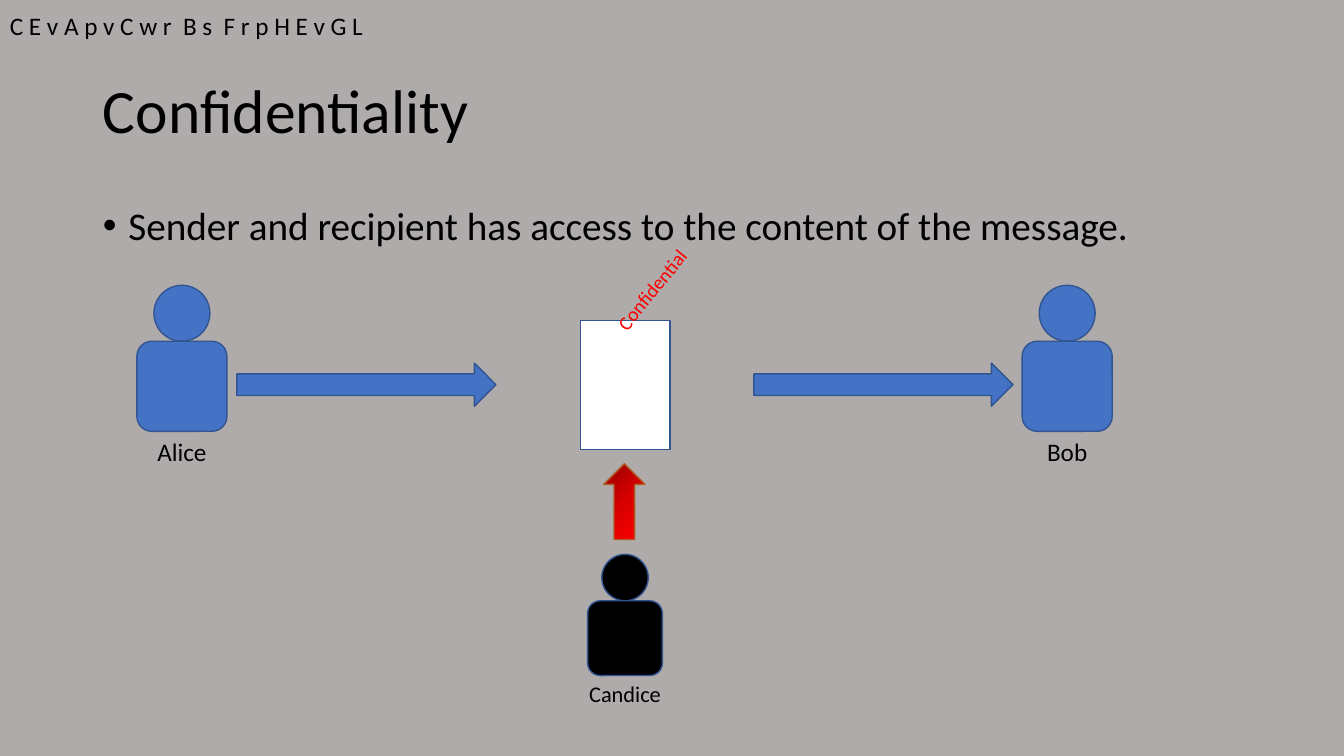
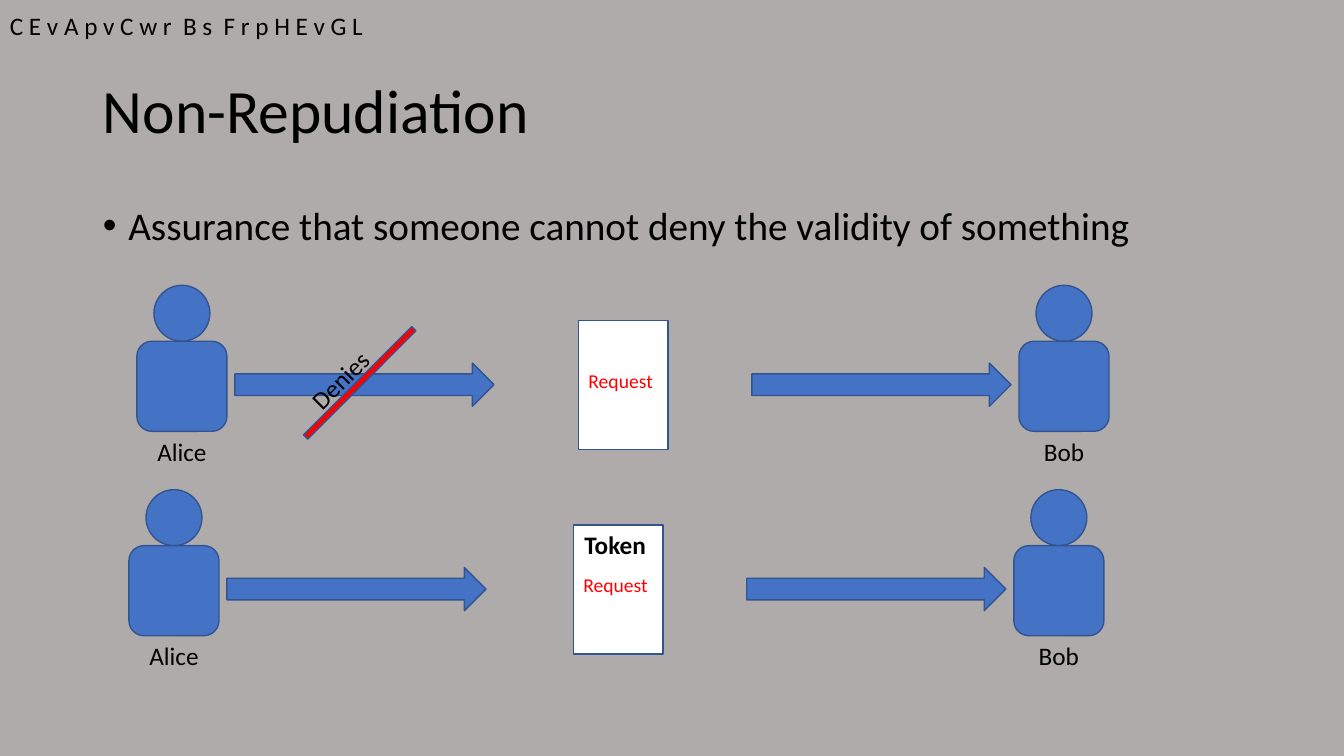
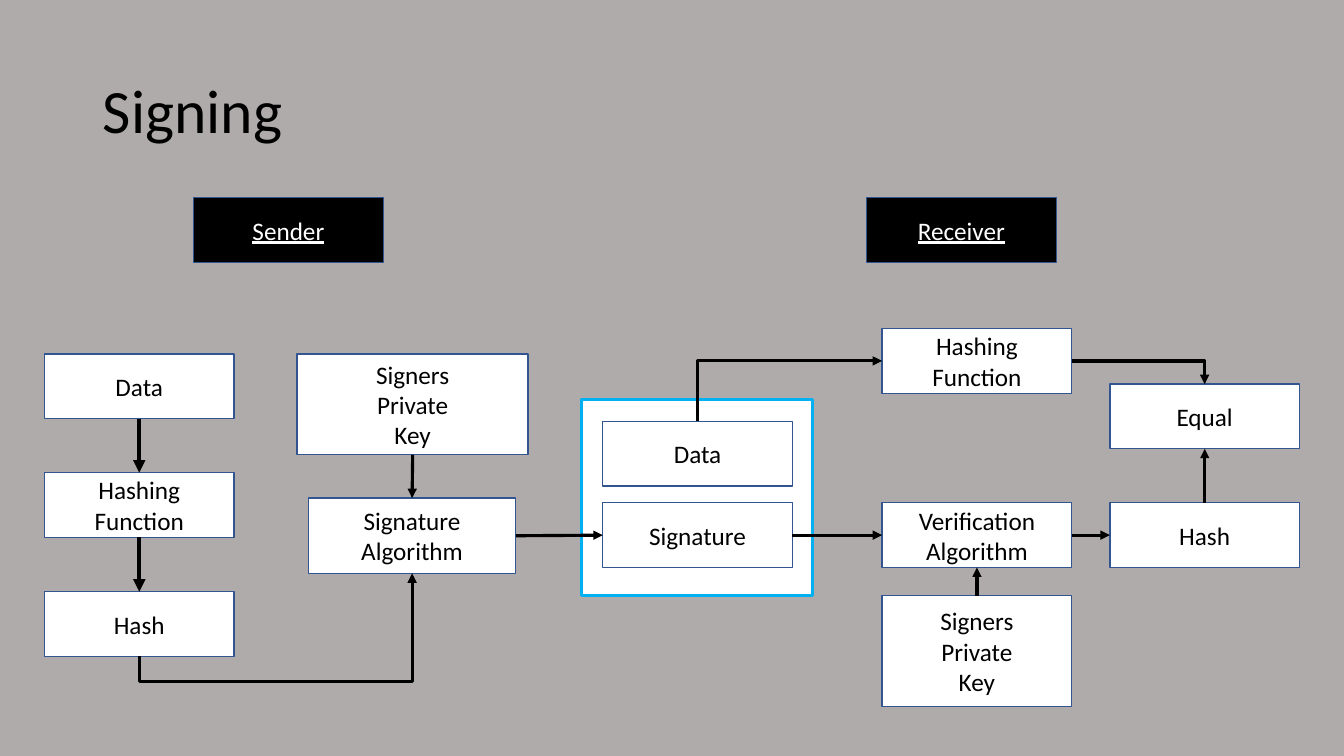
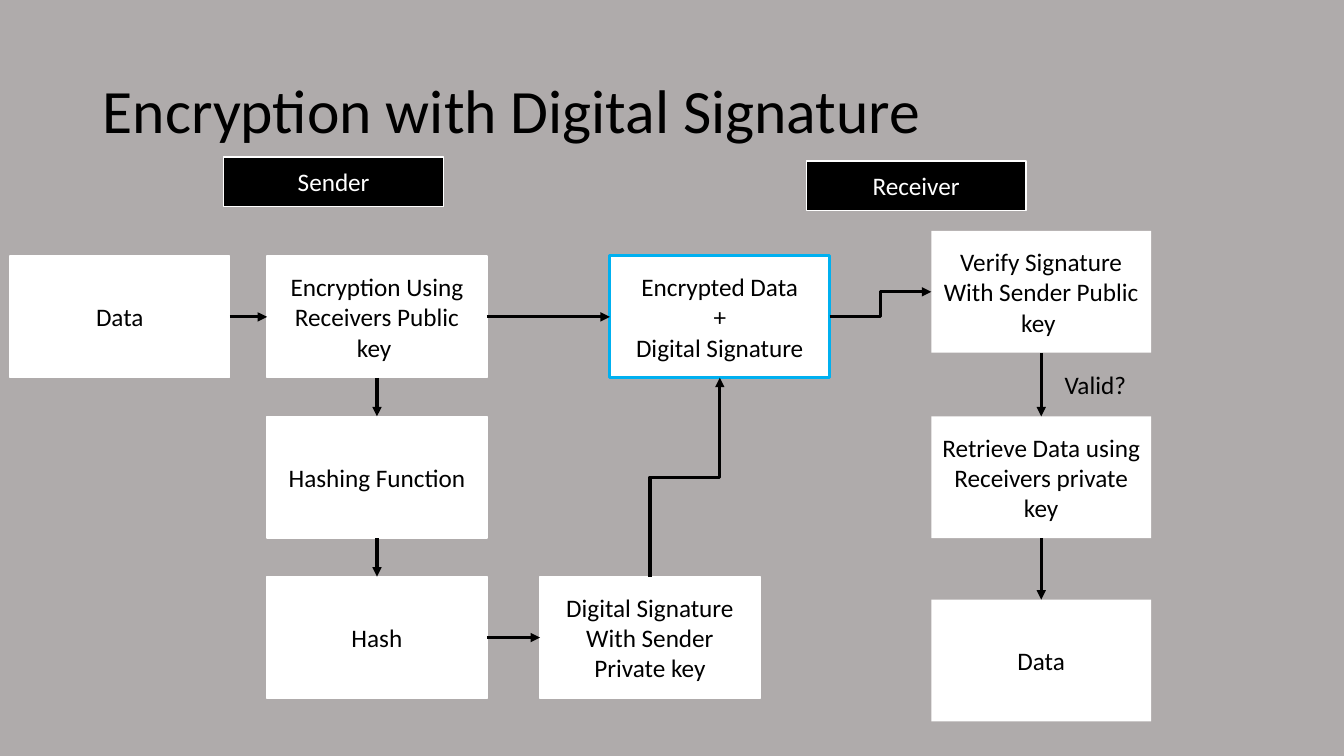
from copy import deepcopy

from lxml.etree import SubElement
from pptx import Presentation
from pptx.dml.color import RGBColor
from pptx.enum.shapes import MSO_CONNECTOR, MSO_SHAPE
from pptx.enum.text import MSO_ANCHOR, PP_ALIGN
from pptx.oxml.ns import qn
from pptx.util import Cm, Pt

# Shared look
FONT = "Calibri"
COLORS = {
    "background": "AFABAB", "black": "000000", "white": "FFFFFF",
    "blue": "4472C4", "outline": "325491", "cyan": "00B0F0",
    "red": "FF0000", "rust": "AF5C24", "dark red": "970000", "mid red": "D70000",
}
TITLE_AREA = (2.34, 1.02, 29.21, 3.68)
BODY_AREA = (2.34, 5.08, 29.21, 12.09)
HEADER_AREA = (0, 0.13, 10.19, 1.8)
HEADER = "C E v A p v C w r  B s  F r p H E v G L"

# Box styles: fill, line, line width, text colour, underline
BOX_STYLES = {
    "step": ("white", "outline", 1, "black", False),
    "parcel": ("white", "cyan", 2.25, "black", False),
    "party": ("black", "outline", 1, "white", True),
    "block": ("white", "white", 1, "black", False),
    "plain": ("white", None, 0, "black", False),
    "tag": ("black", "white", 1, "white", False),
}

# Messages between Alice and Bob: top, then the left edge of each part (cm)
CONFIDENTIAL = {"top": 7.19, "alice": 3.45, "arrows": (5.97, 19), "document": 14.63, "bob": 25.76}
DENIED = {"top": 7.19, "alice": 3.45, "arrows": (5.92, 18.95), "document": 14.58, "bob": 25.68}
PROVEN = {"top": 12.34, "alice": 3.25, "arrows": (5.72, 18.82), "document": 14.45, "bob": 25.55}
HEAD, BODY = 1.41, 2.27
LABEL = (2.4, 1.02)
ARROW = (6.53, 1.09)
DOCUMENT = (2.26, 3.25)

# Signing: key -> text, style, left, top, width, height (cm)
STEP = (4.78, 1.63)
SENDER_X, PARCEL_X, VERIFY_X, RESULT_X = 1.12, 15.19, 22.23, 27.97
SIGN_Y = 12.67
SIGNING_BOXES = {
    "data": ("Data", "step", SENDER_X, 8.92, *STEP),
    "hashing": ("Hashing Function", "step", SENDER_X, 11.91, *STEP),
    "hash": ("Hash", "step", SENDER_X, 14.91, *STEP),
    "algorithm": ("Signature\nAlgorithm", "step", 7.77, 12.55, 5.23, 1.9),
    "key": ("Signers\nPrivate\nKey", "step", 7.49, 8.92, 5.82, 2.54),
    "parcel": ("", "parcel", 14.66, 10.06, 5.82, 4.95),
    "sent data": ("Data", "step", PARCEL_X, 10.62, *STEP),
    "signature": ("Signature", "step", PARCEL_X, SIGN_Y, *STEP),
    "rehashing": ("Hashing Function", "step", VERIFY_X, 8.28, *STEP),
    "verification": ("Verification Algorithm", "step", VERIFY_X, SIGN_Y, *STEP),
    "verify key": ("Signers\nPrivate\nKey", "step", VERIFY_X, 15.01, 4.78, 2.79),
    "equal": ("Equal", "step", RESULT_X, 9.68, *STEP),
    "result hash": ("Hash", "step", RESULT_X, SIGN_Y, *STEP),
    "sender": ("Sender", "party", 4.88, 4.98, *STEP),
    "receiver": ("Receiver", "party", 21.84, 4.98, *STEP),
}
# Links: from, side, to, side, line width, bend preset, bend position
SIGNING_LINKS = [
    ("data", "bottom", "hashing", "top", 3),
    ("hashing", "bottom", "hash", "top", 3),
    ("hash", "bottom", "algorithm", "bottom", 2.25, "bentConnector3", -0.3),
    ("key", "bottom", "algorithm", "top"),
    ("algorithm", "right", "signature", "left"),
    ("sent data", "top", "rehashing", "left", 2.25, "bentConnector2"),
    ("rehashing", "right", "equal", "top", 2.25, "bentConnector2"),
    ("result hash", "top", "equal", "bottom"),
    ("verify key", "top", "verification", "bottom"),
    ("verification", "right", "result hash", "left"),
    ("signature", "right", "verification", "left"),
]

# Encryption with a digital signature
BLOCK = (5.54, 3.07)
TAG = (5.54, 1.24)
ENCRYPT_X, RETRIEVE_X = 6.73, 23.47
ROWS = (6.45, 10.49, 14.53)
ENCRYPTION_BOXES = {
    "encryption": ("Encryption Using\nReceivers Public key ", "block", ENCRYPT_X, ROWS[0], *BLOCK),
    "hashing": ("Hashing Function", "block", ENCRYPT_X, ROWS[1], *BLOCK),
    "hash": ("Hash", "block", ENCRYPT_X, ROWS[2], *BLOCK),
    "data": ("Data", "block", 0.25, ROWS[0], *BLOCK),
    "signature": ("Digital Signature\nWith Sender Private key", "block", 13.61, ROWS[2], *BLOCK),
    "parcel": ("Encrypted Data\n+\nDigital Signature", "parcel", 15.37, ROWS[0], *BLOCK),
    "verify": ("Verify Signature\nWith Sender Public \nkey ", "plain", RETRIEVE_X, 5.82, *BLOCK),
    "retrieve": ("Retrieve Data using \nReceivers private key", "plain", RETRIEVE_X, ROWS[1], *BLOCK),
    "received": ("Data", "plain", RETRIEVE_X, 15.11, *BLOCK),
    "sender": ("Sender", "tag", 5.64, 3.96, *TAG),
    "receiver": ("Receiver", "tag", 20.32, 4.06, *TAG),
}
ENCRYPTION_LINKS = [
    ("data", "right", "encryption", "left"),
    ("encryption", "bottom", "hashing", "top"),
    ("hashing", "bottom", "hash", "top"),
    ("hash", "right", "signature", "left"),
    ("encryption", "right", "parcel", "left"),
    ("parcel", "right", "verify", "left", 2.25, "bentConnector3", 0.5),
    ("verify", "bottom", "retrieve", "top"),
    ("retrieve", "bottom", "received", "top"),
    ("signature", "top", "parcel", "bottom", 2.25, "bentConnector3", 0.5),
]

# Connection sites of a rectangle: index, share of width, share of height
SITES = {"top": (0, 0.5, 0), "left": (1, 0, 0.5), "bottom": (2, 0.5, 1), "right": (3, 1, 0.5)}


def rgb(name):
    return RGBColor.from_string(COLORS[name])


def lengths(area):
    return [Cm(value) for value in area]


def write(frame, text, size=18, color="black", align=PP_ALIGN.CENTER, bold=False, underline=False):
    for number, line in enumerate(text.split("\n")):
        paragraph = frame.paragraphs[0] if number == 0 else frame.add_paragraph()
        paragraph.alignment = align
        run = paragraph.add_run()
        run.text = line
        font = run.font
        font.name, font.size, font.color.rgb = FONT, Pt(size), rgb(color)
        if bold:
            font.bold = True
        if underline:
            font.underline = True


def add_label(shapes, text, area, rotation=0, **look):
    label = shapes.add_textbox(*lengths(area))
    label.text_frame.word_wrap = True
    label.rotation = rotation
    write(label.text_frame, text, **look)


def add_figure(shapes, kind, area, fill="blue", line="outline", weight=1, rotation=0):
    figure = shapes.add_shape(kind, *lengths(area))
    figure.shadow.inherit = False
    figure.rotation = rotation
    figure.fill.solid()
    figure.fill.fore_color.rgb = rgb(fill)
    if line:
        figure.line.color.rgb = rgb(line)
        figure.line.width = Pt(weight)
    else:
        figure.line.fill.background()
    return figure


def add_titled_slide(deck, title, bullet=None):
    slide = deck.slides.add_slide(deck.slide_layouts[1 if bullet else 5])
    heading = slide.shapes.title
    heading.left, heading.top, heading.width, heading.height = lengths(TITLE_AREA)
    heading.text_frame.vertical_anchor = MSO_ANCHOR.MIDDLE
    write(heading.text_frame, title, 44, align=PP_ALIGN.LEFT)
    heading.text_frame.paragraphs[0].line_spacing = 0.9
    if bullet:
        body = slide.placeholders[1]
        body.left, body.top, body.width, body.height = lengths(BODY_AREA)
        write(body.text_frame, bullet, 28, align=PP_ALIGN.LEFT)
        point = body.text_frame.paragraphs[0]
        point.line_spacing, point.space_before = 0.9, Pt(10)
        properties = point._p.get_or_add_pPr()
        properties.set("marL", str(Cm(0.64)))
        properties.set("indent", str(-Cm(0.64)))
        add_label(slide.shapes, HEADER, HEADER_AREA, align=PP_ALIGN.LEFT)
    return slide


def add_person(slide, name, left, top, fill="blue", scale=1, size=18):
    parts = slide.shapes.add_group_shape().shapes
    head, body = HEAD * scale, BODY * scale
    add_figure(parts, MSO_SHAPE.OVAL, (left + (body - head) / 2, top, head, head), fill)
    add_figure(parts, MSO_SHAPE.ROUNDED_RECTANGLE, (left, top + head, body, body), fill)
    label_left = left + (body - LABEL[0]) / 2
    add_label(parts, name, (label_left, top + head + body, *LABEL), size=size)


def add_message(slide, message, text=None):
    top = message["top"]
    add_person(slide, "Alice", message["alice"], top)
    add_person(slide, "Bob", message["bob"], top)
    for left in message["arrows"]:
        add_figure(slide.shapes, MSO_SHAPE.RIGHT_ARROW, (left, top + 1.96, *ARROW))
    left = message["document"]
    add_figure(slide.shapes, MSO_SHAPE.RECTANGLE, (left, top + 0.89, *DOCUMENT), "white")
    if text:
        add_label(slide.shapes, text, (left, top + 1.97, 2.97, 0.86),
                  size=14, color="red", align=PP_ALIGN.LEFT)


def add_boxes(slide, boxes):
    added = {}
    for key, (text, style, *area) in boxes.items():
        fill, line, weight, color, underline = BOX_STYLES[style]
        box = add_figure(slide.shapes, MSO_SHAPE.RECTANGLE, area, fill, line, weight)
        box.text_frame.word_wrap = True
        box.text_frame.vertical_anchor = MSO_ANCHOR.MIDDLE
        if text:
            write(box.text_frame, text, color=color, underline=underline)
        added[key] = box
    return added


def site_point(box, side):
    _, across, down = SITES[side]
    return int(box.left + box.width * across), int(box.top + box.height * down)


def add_link(slide, start, start_side, end, end_side, weight=2.25, bend=None, position=None):
    x1, y1 = site_point(start, start_side)
    x2, y2 = site_point(end, end_side)
    kind = MSO_CONNECTOR.ELBOW if bend else MSO_CONNECTOR.STRAIGHT
    link = slide.shapes.add_connector(kind, x1, y1, x2, y2)
    link.begin_connect(start, SITES[start_side][0])
    link.end_connect(end, SITES[end_side][0])
    link.line.color.rgb = rgb("black")
    link.line.width = Pt(weight)
    properties = link._element.spPr
    SubElement(link.line._get_or_add_ln(), qn("a:tailEnd"), type="triangle")
    SubElement(properties, qn("a:effectLst"))
    if not bend:
        return
    geometry = properties.find(qn("a:prstGeom"))
    geometry.set("prst", bend)
    if position is not None:
        guides = geometry.find(qn("a:avLst"))
        SubElement(guides, qn("a:gd"), name="adj1", fmla=f"val {round(position * 100000)}")
    # A bend that leaves vertically (up, then right) is a turned connector
    if start_side in ("top", "bottom"):
        width, height = abs(y2 - y1), abs(x2 - x1)
        link.left, link.top = (x1 + x2 - width) // 2, (y1 + y2 - height) // 2
        link.width, link.height = width, height
        frame = properties.find(qn("a:xfrm"))
        for name, value in (("rot", "5400000"), ("flipH", "1"), ("flipV", "1")):
            frame.set(name, value)


def add_flow(slide, boxes, links):
    added = add_boxes(slide, boxes)
    for start, start_side, end, end_side, *look in links:
        add_link(slide, added[start], start_side, added[end], end_side, *look)


def add_attack_arrow(slide):
    attack = add_figure(slide.shapes, MSO_SHAPE.RIGHT_ARROW, (14.78, 12.12, 1.91, 1.04),
                        line="rust", rotation=270)
    attack.fill.gradient()
    attack.fill.gradient_angle = 225
    stops = attack._element.spPr.find(".//" + qn("a:gsLst"))
    stops.insert(1, deepcopy(stops[0]))
    shades = ((0, "dark red"), (0.5, "mid red"), (1, "red"))
    for stop, (place, color) in zip(attack.fill.gradient_stops, shades):
        stop.position, stop.color.rgb = place, rgb(color)


def main():
    deck = Presentation()
    deck.slide_width, deck.slide_height = Cm(33.87), Cm(19.05)
    background = deck.slide_master.background.fill
    background.solid()
    background.fore_color.rgb = rgb("background")

    # Confidentiality
    slide = add_titled_slide(deck, "Confidentiality",
                             "Sender and recipient has access to the content of the message.")
    add_message(slide, CONFIDENTIAL)
    add_label(slide.shapes, "Confidential", (14.83, 6.87, 3.2, 0.86), 308.9, size=14, color="red")
    add_attack_arrow(slide)
    add_person(slide, "Candice", 14.81, 13.97, "black", 0.83, 16)

    # Non-repudiation
    slide = add_titled_slide(deck, "Non-Repudiation",
                             "Assurance that someone cannot deny the validity of something")
    add_message(slide, DENIED, "Request")
    add_figure(slide.shapes, MSO_SHAPE.RECTANGLE, (8.99, 7.72, 0.15, 3.86), "red", rotation=45)
    add_label(slide.shapes, "Denies", (7.42, 9.07, 2.29, 1.02), 315)
    add_message(slide, PROVEN, "Request")
    add_label(slide.shapes, "Token", (14.48, 13.21, 2.26, 1.02), align=PP_ALIGN.LEFT, bold=True)

    # Signing
    slide = add_titled_slide(deck, "Signing")
    add_flow(slide, SIGNING_BOXES, SIGNING_LINKS)

    # Encryption with digital signature
    slide = add_titled_slide(deck, "Encryption with Digital Signature")
    add_flow(slide, ENCRYPTION_BOXES, ENCRYPTION_LINKS)
    add_label(slide.shapes, "Valid?", (26.54, 9.19, 2.13, 1.02))

    deck.save("out.pptx")


if __name__ == "__main__":
    main()
